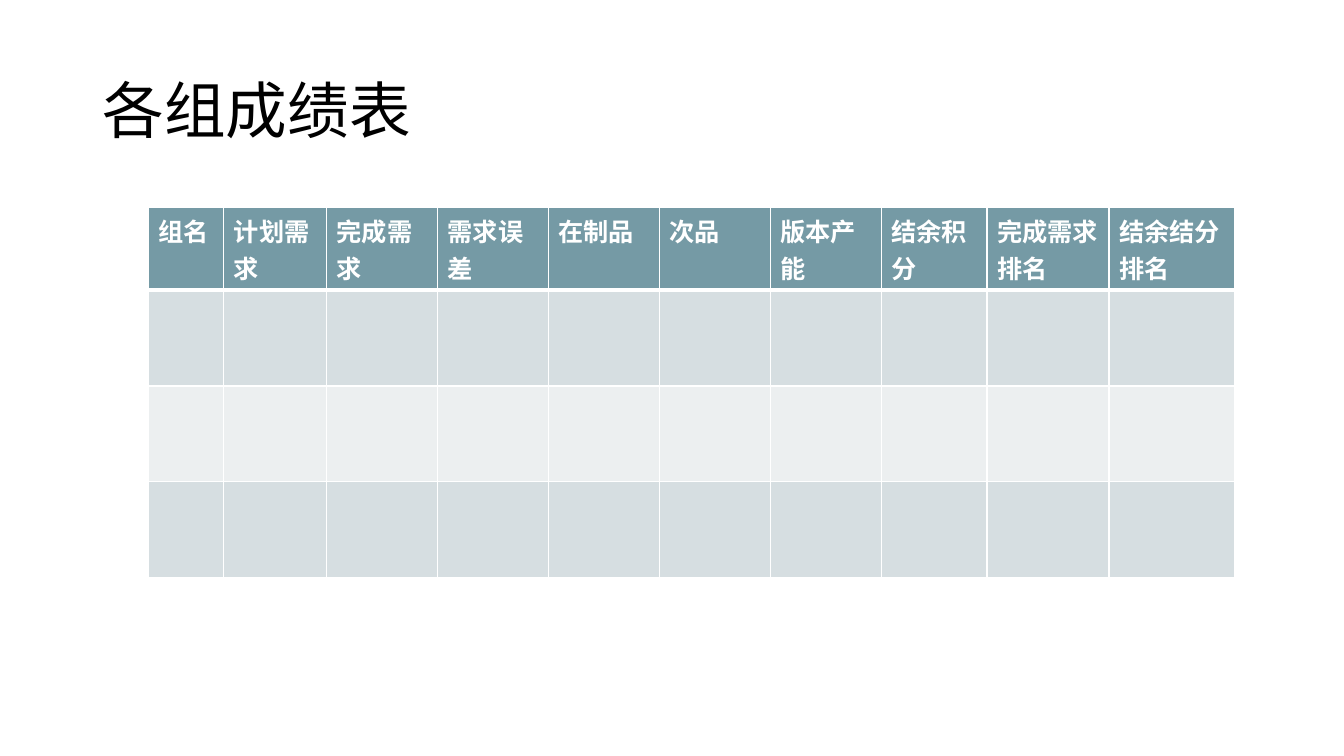
from lxml import etree
from pptx import Presentation
from pptx.dml.color import RGBColor
from pptx.enum.text import MSO_ANCHOR
from pptx.oxml.ns import qn
from pptx.util import Inches, Pt

MIDDLE = MSO_ANCHOR.MIDDLE
FONT = "Calibri"
COLORS = {
    "title": "000000",
    "white": "FFFFFF",
    "header": "759AA5",
    "dark_band": "D6DEE1",
    "light_band": "ECEFF0",
}
HEADERS = ["组名", "计划需求", "完成需求", "需求误差", "在制品", "次品",
           "版本产能", "结余积分", "完成需求排名", "结余结分排名"]
COLUMN_WIDTHS = [0.75, 1.02, 1.1, 1.1, 1.1, 1.1, 1.1, 1.05, 1.21, 1.25]
ROW_HEIGHTS = [0.82, 0.95, 0.95, 0.95]
ROW_FILLS = ["header", "dark_band", "light_band", "dark_band"]


def style_font(paragraph, size, color, bold=False):
    paragraph.font.name = FONT
    paragraph.font.size = Pt(size)
    paragraph.font.bold = bold
    paragraph.font.color.rgb = RGBColor.from_string(COLORS[color])


def add_border(cell, side, width):
    properties = cell._tc.get_or_add_tcPr()
    line = etree.SubElement(properties, qn(f"a:ln{side}"), w=str(Pt(width)))
    fill = etree.SubElement(line, qn("a:solidFill"))
    etree.SubElement(fill, qn("a:srgbClr"), val=COLORS["white"])


presentation = Presentation()
presentation.slide_width = Inches(13.33)
presentation.slide_height = Inches(7.5)
slide = presentation.slides.add_slide(presentation.slide_layouts[6])

title = slide.shapes.add_textbox(Inches(0.92), Inches(0.4), Inches(11.5), Inches(1.45))
title.text_frame.word_wrap = True
title.text_frame.vertical_anchor = MIDDLE
title_paragraph = title.text_frame.paragraphs[0]
title_paragraph.text = "各组成绩表"
title_paragraph.line_spacing = 0.9
style_font(title_paragraph, 44, "title")

table = slide.shapes.add_table(
    len(ROW_HEIGHTS), len(HEADERS), Inches(1.47), Inches(2.06),
    Inches(sum(COLUMN_WIDTHS)), Inches(sum(ROW_HEIGHTS))).table
for column, width in zip(table.columns, COLUMN_WIDTHS):
    column.width = Inches(width)

for row_index, (row, height) in enumerate(zip(table.rows, ROW_HEIGHTS)):
    row.height = Inches(height)
    top_width = 3 if row_index == 1 else 1
    bottom_width = 3 if row_index == 0 else 1
    for cell in row.cells:
        for side, width in zip("LRTB", [1, 1, top_width, bottom_width]):
            add_border(cell, side, width)
        cell.fill.solid()
        cell.fill.fore_color.rgb = RGBColor.from_string(COLORS[ROW_FILLS[row_index]])

for cell, header in zip(table.rows[0].cells, HEADERS):
    cell.text = header
    style_font(cell.text_frame.paragraphs[0], 18, "white", bold=True)

presentation.save("out.pptx")
